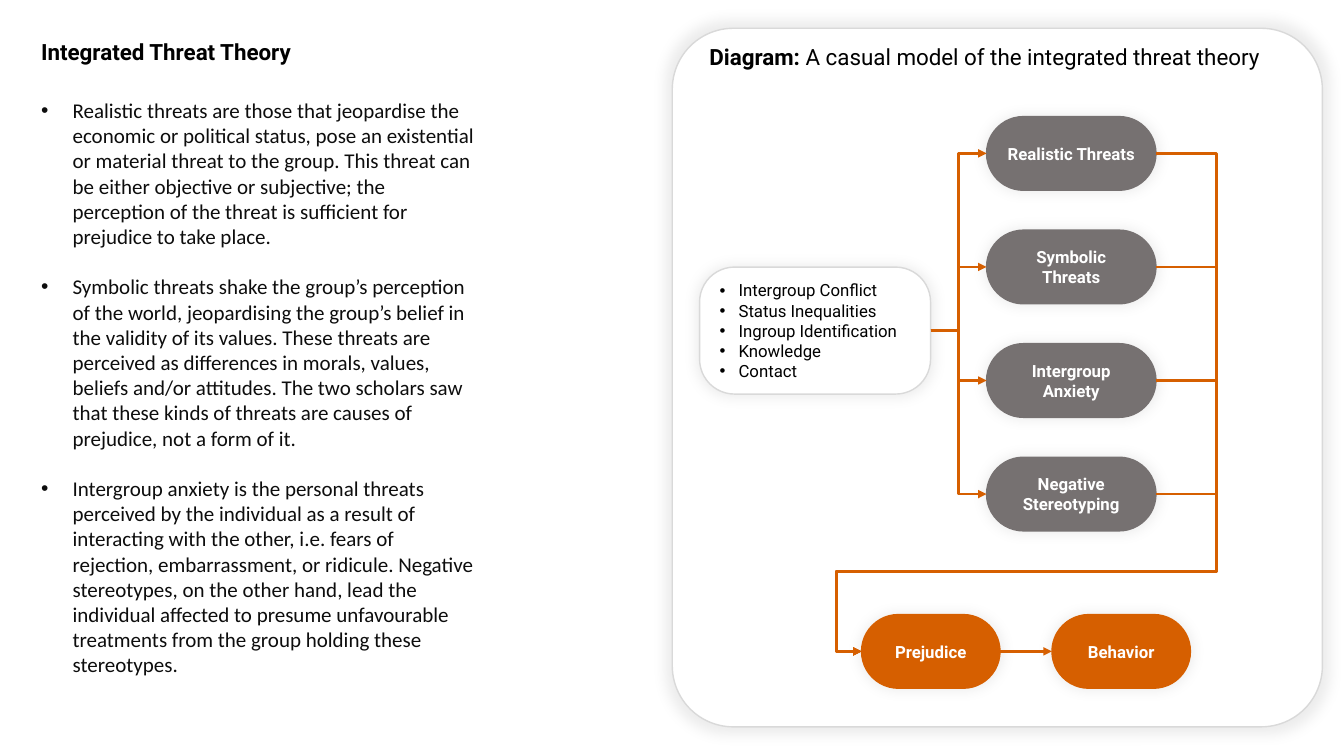
from dataclasses import dataclass

from lxml.etree import SubElement
from pptx import Presentation
from pptx.dml.color import RGBColor
from pptx.enum.shapes import MSO_CONNECTOR, MSO_SHAPE
from pptx.enum.text import MSO_ANCHOR, PP_ALIGN
from pptx.oxml.ns import qn
from pptx.shapes.autoshape import Shape
from pptx.shapes.connector import Connector
from pptx.slide import Slide
from pptx.text.text import TextFrame
from pptx.util import Pt


@dataclass(frozen=True)
class Theme:
    heading_font: str = "Roboto"
    body_font: str = "Calibri"
    heading_size: float = 16
    body_size: float = 15
    label_size: float = 12
    black: str = "000000"
    ink: str = "0D0D0D"
    white: str = "FFFFFF"
    border: str = "D9D9D9"
    gray: str = "767171"
    orange: str = "D65F00"


@dataclass(frozen=True)
class Frame:
    left: float
    top: float
    width: float
    height: float


@dataclass(frozen=True)
class Card:
    frame: Frame
    corner: float
    fill: str
    line: str


@dataclass(frozen=True)
class Span:
    text: str
    bold: bool = False


THEME = Theme()
LEFT_SITE, RIGHT_SITE = 1, 3
RETURN_RIGHT, RETURN_LEFT, RETURN_Y = 869.2, 597.6, 408.4

PANEL = Card(Frame(480.2, 20.2, 464.4, 499), 0.094, THEME.white, THEME.border)
CAUSES = Card(Frame(499.7, 190.8, 165, 90.7), 0.275, THEME.white, THEME.border)
CAUSE_NAMES = ["Intergroup Conflict", "Status Inequalities", "Ingroup Identification",
               "Knowledge", "Contact"]
THREAT_NAMES = ["Realistic Threats", "Symbolic Threats", "Intergroup Anxiety",
                "Negative Stereotyping"]
THREAT_TOP, THREAT_PITCH = 83.3, 81.1
OUTCOME_LEFTS = {"Prejudice": 615.4, "Behavior": 751.4}

DEFINITIONS = [
    "Realistic threats are those that jeopardise the economic or political status, "
    "pose an existential or material threat to the group. This threat can be either "
    "objective or subjective; the perception of the threat is sufficient for prejudice "
    "to take place.",
    "Symbolic threats shake the group’s perception of the world, jeopardising the "
    "group’s belief in the validity of its values. These threats are perceived as "
    "differences in morals, values, beliefs and/or attitudes. The two scholars saw "
    "that these kinds of threats are causes of prejudice, not a form of it.",
    "Intergroup anxiety is the personal threats perceived by the individual as "
    "a result of interacting with the other, i.e. fears of rejection, embarrassment, "
    "or ridicule. Negative stereotypes, on the other hand, lead the individual "
    "affected to presume unfavourable treatments from the group holding these "
    "stereotypes.",
]


def write(text_frame: TextFrame, paragraphs: list[list[Span]], *, size: float,
          color: str, font: str = THEME.heading_font, align: PP_ALIGN = PP_ALIGN.LEFT,
          anchor: MSO_ANCHOR = MSO_ANCHOR.MIDDLE, bullet_indent: float = 0,
          line_spacing: float = 1.0, space_after: float = 0) -> None:
    text_frame.word_wrap = True
    text_frame.vertical_anchor = anchor
    for index, spans in enumerate(paragraphs):
        para = text_frame.add_paragraph() if index else text_frame.paragraphs[0]
        para.alignment = align
        para.line_spacing = line_spacing
        para.space_after = Pt(space_after)
        if bullet_indent:
            add_bullet(para._p.get_or_add_pPr(), bullet_indent)
        for span in spans:
            run = para.add_run()
            run.text = span.text
            run.font.name = font
            run.font.size = Pt(size)
            run.font.bold = span.bold
            run.font.color.rgb = RGBColor.from_string(color)


def add_bullet(properties, indent: float) -> None:
    properties.set("marL", str(Pt(indent)))
    properties.set("indent", str(-Pt(indent)))
    SubElement(properties, qn("a:buFont"), typeface="Arial")
    SubElement(properties, qn("a:buChar"), char="•")


def add_text_box(page: Slide, frame: Frame) -> TextFrame:
    box = page.shapes.add_textbox(Pt(frame.left), Pt(frame.top),
                                  Pt(frame.width), Pt(frame.height))
    return box.text_frame


def add_card(page: Slide, card: Card) -> Shape:
    """Draw a rounded card with a soft, even shadow on all sides."""
    frame = card.frame
    box = page.shapes.add_shape(MSO_SHAPE.ROUNDED_RECTANGLE, Pt(frame.left), Pt(frame.top),
                                Pt(frame.width), Pt(frame.height))
    box.adjustments[0] = card.corner
    box.fill.solid()
    box.fill.fore_color.rgb = RGBColor.from_string(card.fill)
    box.line.color.rgb = RGBColor.from_string(card.line)
    box.line.width = Pt(1)
    box.shadow.inherit = False
    effects = box._element.spPr.find(qn("a:effectLst"))
    shadow = SubElement(effects, qn("a:outerShdw"), blurRad=str(Pt(10)), sx="102000",
                        sy="102000", algn="ctr", rotWithShape="0")
    tint = SubElement(shadow, qn("a:srgbClr"), val=THEME.black)
    SubElement(tint, qn("a:alpha"), val="8000")
    return box


def add_pill(page: Slide, name: str, frame: Frame, color: str) -> Shape:
    pill = add_card(page, Card(frame, 0.5, color, color))
    write(pill.text_frame, [[Span(name, bold=True)]], size=THEME.label_size,
          color=THEME.white, align=PP_ALIGN.CENTER)
    return pill


def link(page: Slide, source: Shape, target: Shape, kind: MSO_CONNECTOR) -> Connector:
    """Join the right side of source to the left side of target with an arrow."""
    arrow = page.shapes.add_connector(kind, 0, 0, 0, 0)
    arrow.begin_connect(source, RIGHT_SITE)
    arrow.end_connect(target, LEFT_SITE)
    arrow.line.color.rgb = RGBColor.from_string(THEME.orange)
    arrow.line.width = Pt(2)
    SubElement(arrow.line._get_or_add_ln(), qn("a:tailEnd"), type="triangle")
    SubElement(arrow._element.spPr, qn("a:effectLst"))
    return arrow


def route_back(arrow: Connector) -> None:
    """Bend the arrow round the shared return lanes at the right, bottom and left."""
    run, rise = arrow.end_x - arrow.begin_x, arrow.end_y - arrow.begin_y
    bends = [(Pt(RETURN_RIGHT) - arrow.begin_x) / run,
             (Pt(RETURN_Y) - arrow.begin_y) / rise,
             (Pt(RETURN_LEFT) - arrow.begin_x) / run]
    geometry = arrow._element.spPr.find(qn("a:prstGeom"))
    geometry.set("prst", "bentConnector5")
    guides = geometry.find(qn("a:avLst"))
    for number, bend in enumerate(bends, start=1):
        SubElement(guides, qn("a:gd"), name=f"adj{number}", fmla=f"val {round(bend * 100000)}")


def add_definitions(page: Slide) -> None:
    write(add_text_box(page, Frame(22.3, 21.6, 327, 32.4)),
          [[Span("Integrated Threat Theory", bold=True)]],
          size=THEME.heading_size, color=THEME.black, line_spacing=0.9)
    write(add_text_box(page, Frame(22.3, 66.2, 327, 391.7)),
          [[Span(text)] for text in DEFINITIONS], size=THEME.body_size, color=THEME.ink,
          font=THEME.body_font, anchor=MSO_ANCHOR.TOP, bullet_indent=22.5, space_after=18)


def add_diagram(page: Slide) -> None:
    add_card(page, PANEL)
    write(add_text_box(page, Frame(499.7, 25.2, 440, 32.4)),
          [[Span("Diagram: ", bold=True),
            Span("A casual model of the integrated threat theory")]],
          size=THEME.heading_size, color=THEME.black, line_spacing=0.9)
    causes = add_card(page, CAUSES)
    write(causes.text_frame, [[Span(name)] for name in CAUSE_NAMES],
          size=THEME.label_size, color=THEME.black, bullet_indent=13.5)
    threats = [add_pill(page, name, Frame(704.7, THREAT_TOP + row * THREAT_PITCH, 121, 52.6),
                        THEME.gray) for row, name in enumerate(THREAT_NAMES)]
    prejudice, behavior = [add_pill(page, name, Frame(left, 439, 98.9, 52.6), THEME.orange)
                           for name, left in OUTCOME_LEFTS.items()]
    for threat in threats:
        link(page, causes, threat, MSO_CONNECTOR.ELBOW)
        route_back(link(page, threat, prejudice, MSO_CONNECTOR.ELBOW))
    link(page, prejudice, behavior, MSO_CONNECTOR.STRAIGHT)


def main() -> None:
    deck = Presentation()
    deck.slide_width, deck.slide_height = Pt(960), Pt(540)
    page = deck.slides.add_slide(deck.slide_layouts[6])
    add_diagram(page)
    add_definitions(page)
    deck.save("out.pptx")


if __name__ == "__main__":
    main()
